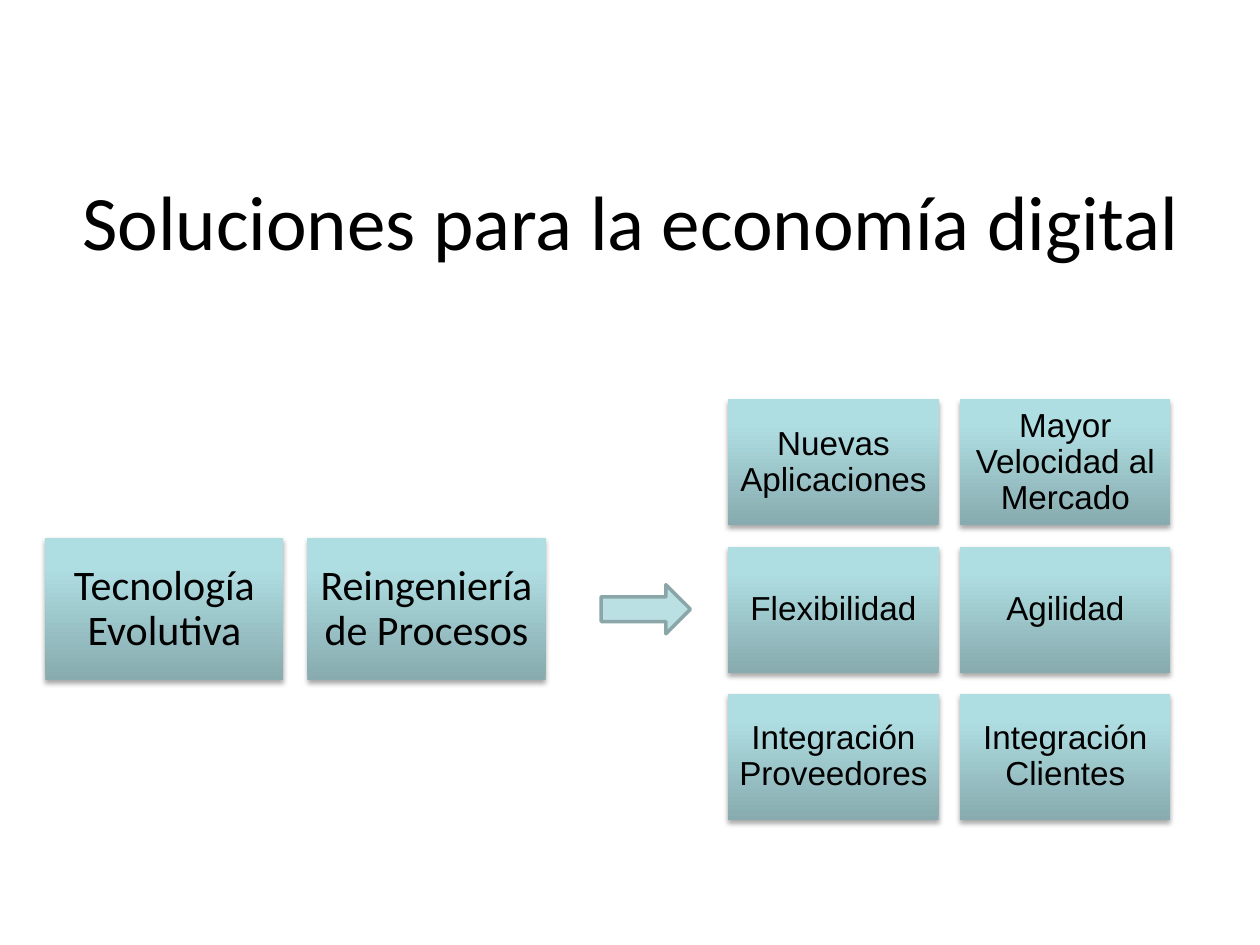
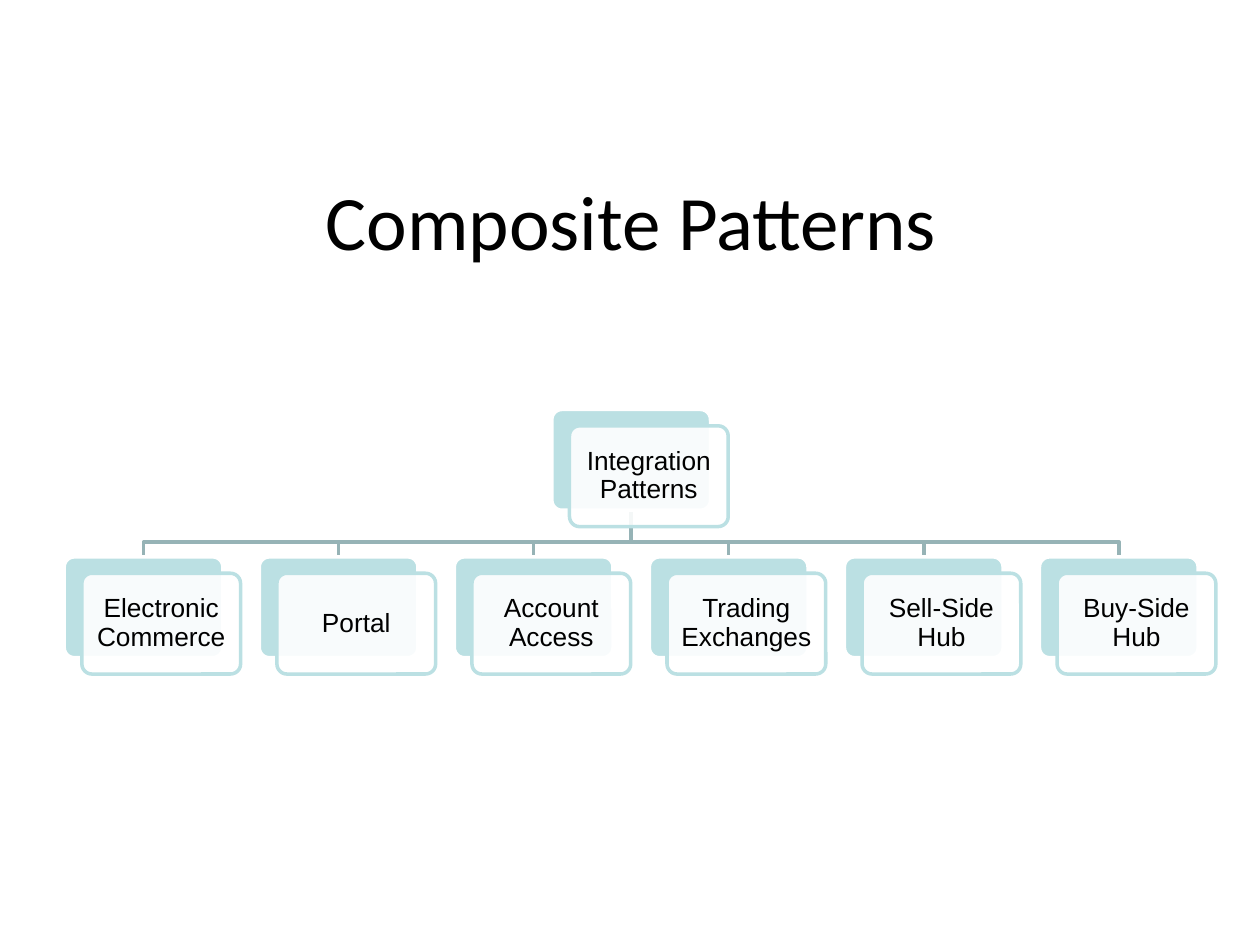
from dataclasses import dataclass

from lxml.etree import SubElement
from pptx import Presentation
from pptx.dml.color import RGBColor
from pptx.enum.shapes import MSO_SHAPE
from pptx.enum.text import MSO_ANCHOR, MSO_AUTO_SIZE, PP_ALIGN
from pptx.oxml.ns import qn
from pptx.shapes.autoshape import Shape
from pptx.shapes.shapetree import GroupShapes
from pptx.slide import Slide
from pptx.util import Inches, Pt


@dataclass(frozen=True)
class Theme:
    text: str = "000000"
    white: str = "FFFFFF"
    aqua: str = "BBE0E3"
    arrow_line: str = "8AA6A8"
    branch_line: str = "96B3B6"
    gradient: tuple = ((0, "87ABAE"), (80, "AFDEE2"), (100, "AFE0E4"))
    heading_font: str = "Calibri"
    label_font: str = "Arial"
    title_size: int = 44
    driver_size: int = 24
    benefit_size: int = 19
    pattern_size: int = 15
    line_width: int = 2


@dataclass(frozen=True)
class Box:
    left: float
    top: float
    width: float
    height: float

    def moved(self, right: float, down: float) -> "Box":
        return Box(self.left + right, self.top + down, self.width, self.height)

    @property
    def center(self) -> float:
        return self.left + self.width / 2

    @property
    def bottom(self) -> float:
        return self.top + self.height

    def lengths(self) -> tuple:
        return tuple(Inches(value) for value in (self.left, self.top, self.width, self.height))


@dataclass(frozen=True)
class CardGrid:
    first: Box
    gap: float
    columns: int
    labels: tuple
    font: str
    size: int
    inset: float


THEME = Theme()
TITLE_BOX = Box(0.51, 1.47, 9, 0.55)
DRIVERS = CardGrid(Box(0.36, 4.27, 1.89, 1.13), 0.19, 2,
                   ("Tecnología Evolutiva", "Reingeniería de Procesos"),
                   THEME.heading_font, THEME.driver_size, 0.1)
BENEFITS = CardGrid(Box(5.78, 3.17, 1.67, 1), 0.17, 2,
                    ("Nuevas Aplicaciones", "Mayor Velocidad al Mercado",
                     "Flexibilidad", "Agilidad",
                     "Integración Proveedores", "Integración Clientes"),
                    THEME.label_font, THEME.benefit_size, 0.08)
ARROW_BOX = Box(4.77, 4.64, 0.71, 0.39)

ROOT_BOX = Box(4.38, 3.25, 1.26, 0.8)
ROOT_LABEL = "Integration Patterns"
PATTERNS = ("Electronic Commerce", "Portal", "Account Access",
            "Trading Exchanges", "Sell-Side Hub", "Buy-Side Hub")
FIRST_PATTERN_BOX = Box(0.51, 4.42, 1.26, 0.8)
PATTERN_STEP = 2 * (ROOT_BOX.left - FIRST_PATTERN_BOX.left) / (len(PATTERNS) - 1)
FRONT_OFFSET = (0.14, 0.13)
BRANCH_LEVEL = 4.3


def write_text(shape: Shape, text: str, *, font: str, size: int,
               inset: float = 0.1, line_spacing: float = 1.0) -> None:
    frame = shape.text_frame
    frame.word_wrap = True
    frame.auto_size = MSO_AUTO_SIZE.NONE
    frame.vertical_anchor = MSO_ANCHOR.MIDDLE
    frame.margin_left = frame.margin_right = Inches(inset)
    frame.margin_top = frame.margin_bottom = Inches(inset)
    paragraph = frame.paragraphs[0]
    paragraph.alignment = PP_ALIGN.CENTER
    paragraph.line_spacing = line_spacing
    run = paragraph.add_run()
    run.text = text
    run.font.name = font
    run.font.size = Pt(size)
    run.font.color.rgb = RGBColor.from_string(THEME.text)


def set_line(shape: Shape, color: str) -> None:
    shape.line.color.rgb = RGBColor.from_string(color)
    shape.line.width = Pt(THEME.line_width)


def add_filled_shape(shapes: GroupShapes, kind: MSO_SHAPE, box: Box, fill: str, line: str) -> Shape:
    shape = shapes.add_shape(kind, *box.lengths())
    shape.shadow.inherit = False
    shape.fill.solid()
    shape.fill.fore_color.rgb = RGBColor.from_string(fill)
    set_line(shape, line)
    return shape


def set_opacity(shape: Shape, percent: int) -> None:
    color = shape._element.spPr.find(qn("a:solidFill")).find(qn("a:srgbClr"))
    SubElement(color, qn("a:alpha"), val=str(percent * 1000))


def apply_card_gradient(shape: Shape) -> None:
    shape.fill.gradient()
    shape.fill.gradient_angle = 90
    stops = shape._element.spPr.find(qn("a:gradFill")).find(qn("a:gsLst"))
    for stop in list(stops):
        stops.remove(stop)
    for position, color in THEME.gradient:
        stop = SubElement(stops, qn("a:gs"), pos=str(position * 1000))
        SubElement(stop, qn("a:srgbClr"), val=color)


def apply_card_shadow(shape: Shape) -> None:
    shape.shadow.inherit = False
    effects = shape._element.spPr.find(qn("a:effectLst"))
    shadow = SubElement(effects, qn("a:outerShdw"), blurRad=str(Pt(3.1)), dist=str(Pt(1.8)),
                        dir="5400000", rotWithShape="0")
    color = SubElement(shadow, qn("a:srgbClr"), val=THEME.text)
    SubElement(color, qn("a:alpha"), val="35000")


def add_card_grid(slide: Slide, grid: CardGrid) -> None:
    shapes = slide.shapes.add_group_shape().shapes
    for index, label in enumerate(grid.labels):
        row, column = divmod(index, grid.columns)
        box = grid.first.moved(column * (grid.first.width + grid.gap),
                               row * (grid.first.height + grid.gap))
        card = shapes.add_shape(MSO_SHAPE.RECTANGLE, *box.lengths())
        apply_card_gradient(card)
        card.line.fill.background()
        apply_card_shadow(card)
        write_text(card, label, font=grid.font, size=grid.size,
                   inset=grid.inset, line_spacing=0.9)


def add_branch(shapes: GroupShapes, parent: Box, child: Box) -> None:
    points = [(parent.center, parent.bottom), (parent.center, BRANCH_LEVEL),
              (child.center, BRANCH_LEVEL), (child.center, child.top)]
    start, *corners = [(Inches(across), Inches(down)) for across, down in points]
    builder = shapes.build_freeform(*start)
    builder.add_line_segments(corners, close=False)
    branch = builder.convert_to_shape()
    branch.shadow.inherit = False
    branch.fill.background()
    set_line(branch, THEME.branch_line)


def add_pattern_node(shapes: GroupShapes, box: Box, label: str) -> None:
    back = add_filled_shape(shapes, MSO_SHAPE.ROUNDED_RECTANGLE, box, THEME.aqua, THEME.white)
    front = add_filled_shape(shapes, MSO_SHAPE.ROUNDED_RECTANGLE, box.moved(*FRONT_OFFSET),
                             THEME.white, THEME.aqua)
    for shape in (back, front):
        shape.adjustments[0] = 0.1
    set_opacity(front, 90)
    write_text(front, label, font=THEME.label_font, size=THEME.pattern_size,
               inset=0.08, line_spacing=0.9)


def add_titled_slide(presentation: Presentation, text: str) -> Slide:
    slide = presentation.slides.add_slide(presentation.slide_layouts[5])
    title = slide.shapes.title
    title.left, title.top, title.width, title.height = TITLE_BOX.lengths()
    write_text(title, text, font=THEME.heading_font, size=THEME.title_size)
    return slide


def build_solutions_slide(presentation: Presentation) -> None:
    slide = add_titled_slide(presentation, "Soluciones para la economía digital")
    for grid in (DRIVERS, BENEFITS):
        add_card_grid(slide, grid)
    add_filled_shape(slide.shapes, MSO_SHAPE.RIGHT_ARROW, ARROW_BOX, THEME.aqua, THEME.arrow_line)


def build_patterns_slide(presentation: Presentation) -> None:
    slide = add_titled_slide(presentation, "Composite Patterns")
    shapes = slide.shapes.add_group_shape().shapes
    boxes = [FIRST_PATTERN_BOX.moved(index * PATTERN_STEP, 0) for index in range(len(PATTERNS))]
    for box in boxes:
        add_branch(shapes, ROOT_BOX, box)
    add_pattern_node(shapes, ROOT_BOX, ROOT_LABEL)
    for box, label in zip(boxes, PATTERNS):
        add_pattern_node(shapes, box, label)


def main() -> None:
    presentation = Presentation()
    presentation.slide_width, presentation.slide_height = Inches(10), Inches(7.5)
    build_solutions_slide(presentation)
    build_patterns_slide(presentation)
    presentation.save("out.pptx")


if __name__ == "__main__":
    main()
